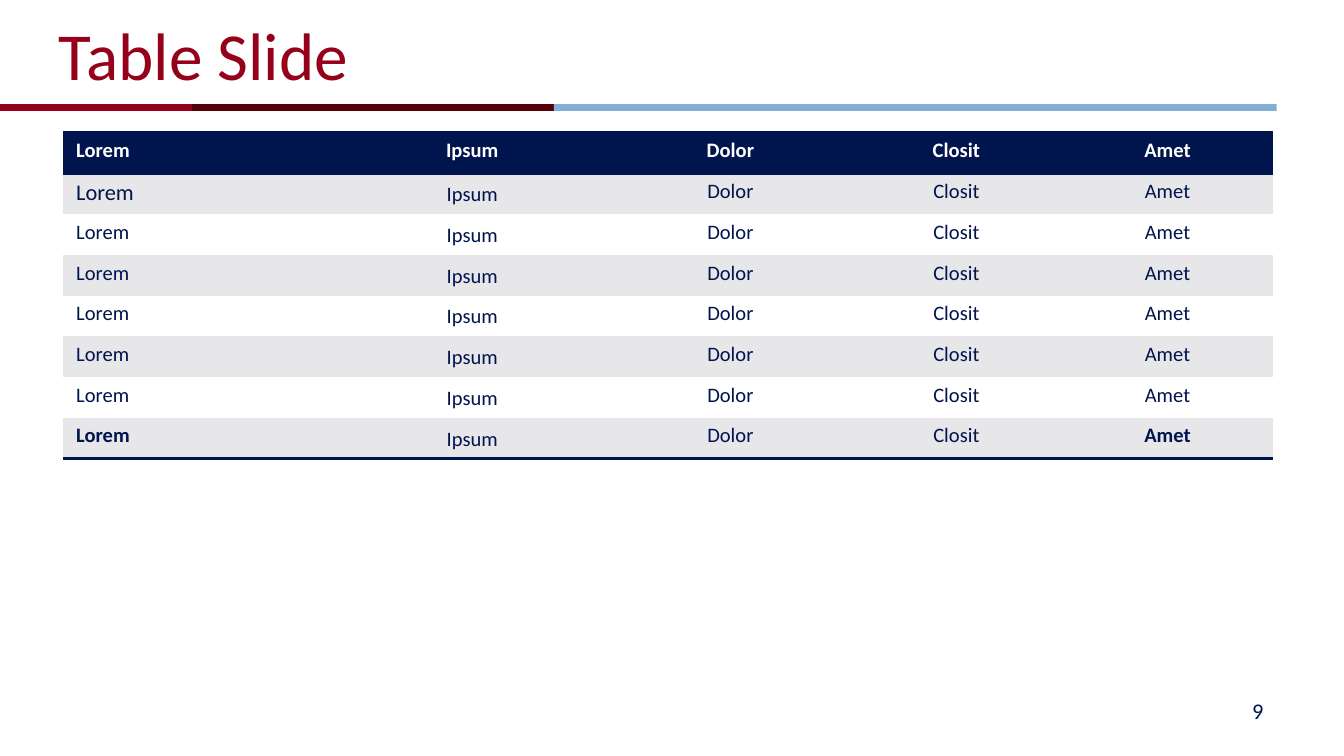
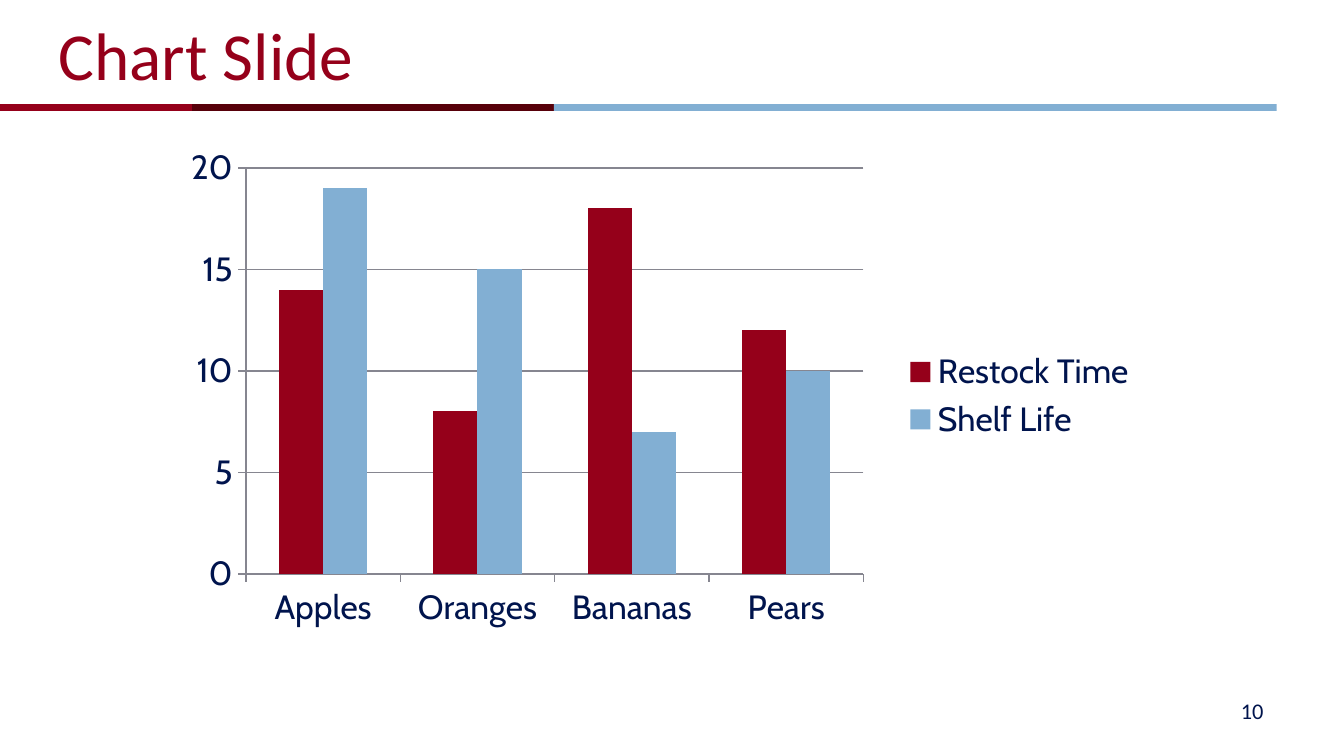
from lxml.etree import SubElement
from pptx import Presentation
from pptx.chart.data import CategoryChartData as Data
from pptx.dml.color import RGBColor
from pptx.enum.chart import XL_CHART_TYPE as Kind, XL_LEGEND_POSITION as Side
from pptx.enum.shapes import MSO_SHAPE as Shape
from pptx.enum.text import MSO_ANCHOR as Anchor, PP_ALIGN as Align
from pptx.oxml import parse_xml
from pptx.oxml.ns import nsdecls, qn
from pptx.util import Cm, Pt

RED, WINE, SKY, NAVY = "95001A", "57000A", "82AFD3", "00144D"
WHITE, PALE, GRAY = "FFFFFF", "E7E7E9", "868690"
FONT = "Calibri"


def rgb(code):
    return RGBColor.from_string(code)


def write(frame, text, size, color, align=Align.LEFT, bold=False):
    """Fill a text frame with one styled paragraph."""
    para = frame.paragraphs[0]
    para.text, para.alignment = text, align
    font = para.font
    font.name, font.size, font.bold = FONT, Pt(size), bold
    font.color.rgb = rgb(color)


deck = Presentation()
deck.slide_width, deck.slide_height = Cm(25.4), Cm(14.29)

# Frame shared by both slides: bands, page number, title
edges = [-0.03, 3.63, 10.47, 24.13]
slides = []
for page, title in [(9, "Table Slide"), (10, "Chart Slide")]:
    slide = deck.slides.add_slide(deck.slide_layouts[6])
    slides.append(slide)
    for left, right, color in zip(edges, edges[1:], [RED, WINE, SKY]):
        band = slide.shapes.add_shape(
            Shape.RECTANGLE, Cm(left), Cm(1.97), Cm(right - left), Cm(0.13))
        band.shadow.inherit = False
        band.fill.solid()
        band.fill.fore_color.rgb = rgb(color)
        band.line.fill.background()
    for text, place, size, color, align in [
        (str(page), (18.21, 13.06, 5.92, 0.76), 12, NAVY, Align.RIGHT),
        (title, (0.86, 0.05, 22.86, 1.93), 36, RED, Align.LEFT),
    ]:
        frame = slide.shapes.add_textbox(*map(Cm, place)).text_frame
        frame.word_wrap, frame.vertical_anchor = True, Anchor.MIDDLE
        write(frame, text, size, color, align)

# Table
heads = ["Lorem", "Ipsum", "Dolor", "Closit", "Amet"]
widths = [5.13, 5.21, 4.55, 3.99, 3.99]
count, tall = 8, 0.77
last = count - 1
table = slides[0].shapes.add_table(
    count, len(heads), Cm(1.19), Cm(2.51), Cm(sum(widths)), Cm(count * tall)).table
table.first_row = table.horz_banding = False
plain = "{2D5ABB26-0587-4C30-8999-92F81FD0307C}"
table._tbl.tblPr.find(qn("a:tableStyleId")).text = plain
for col, width in zip(table.columns, widths):
    col.width = Cm(width)
for r, row in enumerate(table.rows):
    row.height = Cm(tall)
    for c, (cell, text) in enumerate(zip(row.cells, heads)):
        tight = r > 0 and c == 1
        cell.margin_left = cell.margin_right = Cm(0.03 if tight else 0.25)
        cell.margin_top = Cm(0.03 if tight else 0.1)
        cell.margin_bottom = Cm(0 if tight else 0.1)
        cell.vertical_anchor = Anchor.MIDDLE if tight else Anchor.TOP
        rules = {0: ["a:lnT", "a:lnB"], last: ["a:lnB"]}.get(r, [])
        for tag in rules:
            line = SubElement(cell._tc.get_or_add_tcPr(), qn(tag), w=str(Pt(2)))
            fill = SubElement(line, qn("a:solidFill"))
            SubElement(fill, qn("a:srgbClr"), val=NAVY)
        cell.fill.solid()
        cell.fill.fore_color.rgb = rgb(NAVY if r == 0 else PALE if r % 2 else WHITE)
        write(cell.text_frame, text,
              12 if (r, c) == (1, 0) else 11,
              WHITE if r == 0 else NAVY,
              Align.CENTER if c else Align.LEFT,
              r == 0 or (r == last and c in (0, 4)))

# Chart
data = Data()
data.categories = ["Apples", "Oranges", "Bananas", "Pears"]
data.add_series("Restock Time", [14, 8, 18, 12])
data.add_series("Shelf Life", [19, 15, 7, 10])
chart = slides[1].shapes.add_chart(
    Kind.COLUMN_CLUSTERED, Cm(1.63), Cm(2.79), Cm(20.12), Cm(9.37), data).chart
chart.has_title = False
chart.font.name, chart.font.size = "Cabin", Pt(18)
chart.font.color.rgb = rgb(NAVY)
chart.has_legend = True
chart.legend.position = Side.RIGHT
chart.legend.include_in_layout = False

plot = chart.plots[0]
plot.gap_width, plot.overlap, plot.vary_by_categories = 150, 0, False
for bars, color in zip(plot.series, [RED, SKY]):
    bars.format.fill.solid()
    bars.format.fill.fore_color.rgb = rgb(color)

scale = chart.value_axis
scale.minimum_scale, scale.maximum_scale, scale.major_unit = 0, 20, 5
scale.has_major_gridlines = True
for part in [scale, scale.major_gridlines, chart.category_axis]:
    part.format.line.color.rgb = rgb(GRAY)
    part.format.line.width = Pt(0.75)

area = chart._chartSpace.chart.plotArea
for old in area.findall(qn("c:layout")):
    area.remove(old)
spots = {"x": 0.15, "y": 0.04, "w": 0.58, "h": 0.82}
marks = "".join(f'<c:{k}Mode val="edge"/>' for k in "xy")
marks += "".join(f'<c:{k} val="{v}"/>' for k, v in spots.items())
area.insert(0, parse_xml(
    f'<c:layout {nsdecls("c")}><c:manualLayout><c:layoutTarget val="inner"/>'
    f'{marks}</c:manualLayout></c:layout>'))

deck.save("out.pptx")
